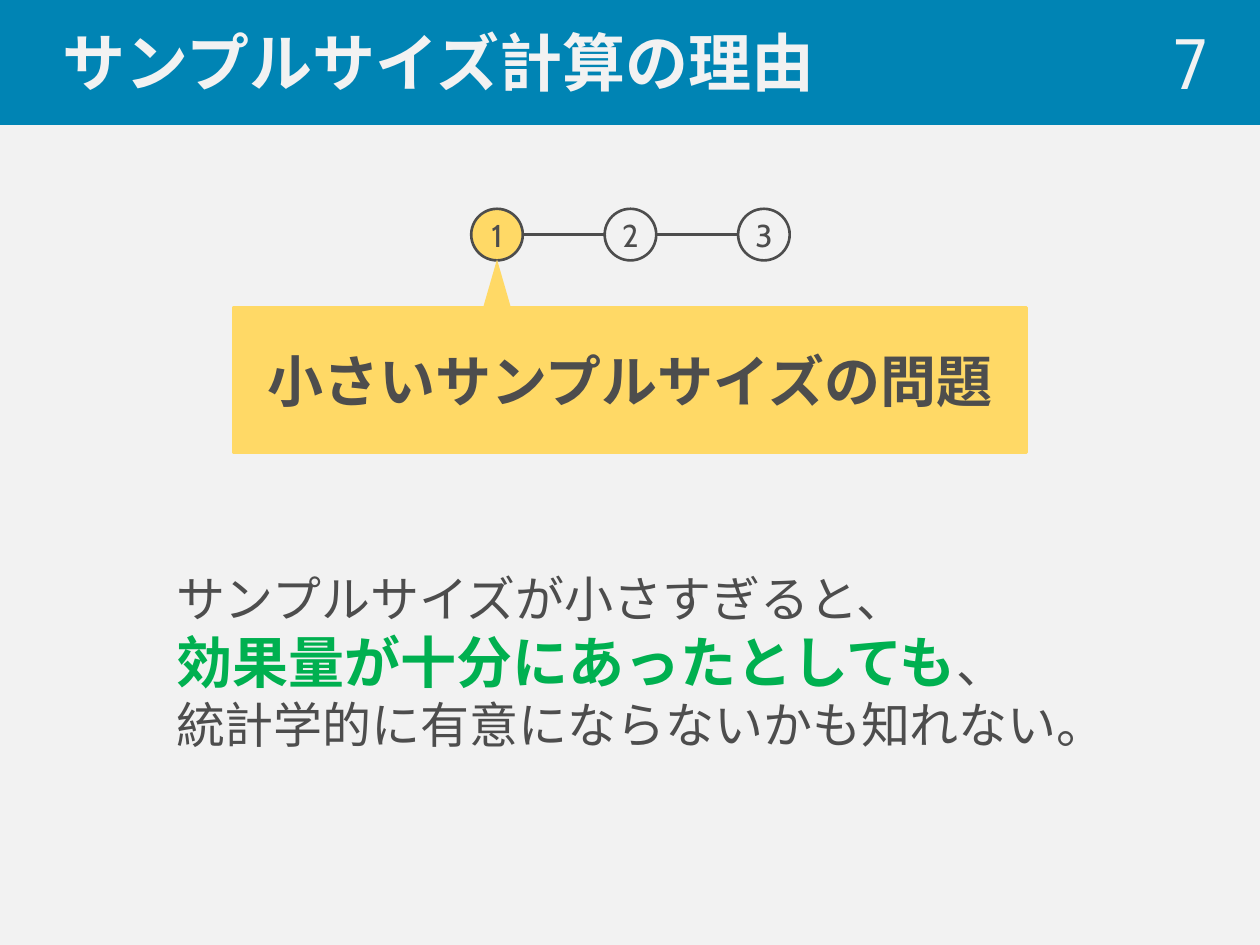
import pptx
import pptx.dml.color
import pptx.enum.shapes
import pptx.enum.text
import pptx.oxml
import pptx.util
from dataclasses import dataclass
from lxml import etree

Cm = pptx.util.Cm
Pt = pptx.util.Pt
Shape = pptx.enum.shapes.MSO_SHAPE
Align = pptx.enum.text.PP_ALIGN
Anchor = pptx.enum.text.MSO_ANCHOR
NS = "http://schemas.openxmlformats.org/drawingml/2006/main"


@dataclass(frozen=True)
class Theme:
    paper: str = "F2F2F2"
    blue: str = "0084B4"
    gold: str = "FFD966"
    ink: str = "4D4D4D"
    green: str = "00B050"
    sans: str = "Cabin"
    kanji: str = "Noto Sans CJK JP"
    thin: str = "Roboto Condensed"
    title: int = 36
    page: int = 40
    step: int = 18
    strong: int = 32
    body: int = 28
    line: float = 1.5


T = Theme()


def rgb(code):
    return pptx.dml.color.RGBColor.from_string(code)


def write(par, text, size=T.body, color=T.ink, font=T.sans, bold=False, align=None):
    run = par.add_run()
    run.text = text
    run.font.size = Pt(size)
    run.font.bold = bold
    run.font.name = font
    run.font.color.rgb = rgb(color)
    asian = etree.SubElement(run.font._element, f"{{{NS}}}ea")
    asian.set("typeface", T.kanji)
    par.alignment = align


def paint(shape, fill=None, line=None):
    shape.shadow.inherit = False
    if fill:
        shape.fill.solid()
        shape.fill.fore_color.rgb = rgb(fill)
    else:
        shape.fill.background()
    if line:
        shape.line.color.rgb = rgb(line)
        shape.line.width = Pt(T.line)
    else:
        shape.line.fill.background()


def draw(shapes, kind, box, fill=None, line=None):
    shape = shapes.add_shape(kind, *map(Cm, box))
    paint(shape, fill, line)
    return shape


def frame(shape, anchor=Anchor.MIDDLE):
    text = shape.text_frame
    text.word_wrap = True
    text.auto_size = pptx.enum.text.MSO_AUTO_SIZE.NONE
    text.vertical_anchor = anchor
    return text


def header(slide, box, text, page):
    left, top, width, height = box
    bar = slide.shapes.title
    bar.left, bar.top, bar.width, bar.height = map(Cm, box)
    paint(bar, T.blue, T.blue)
    par = frame(bar).paragraphs[0]
    par._p.get_or_add_pPr().set("marL", str(Cm(1)))
    write(par, text, T.title, T.paper, T.kanji, True, Align.LEFT)

    wide, high = 4.9, 1.55
    label = slide.shapes.add_textbox(
        Cm(left + width - wide - 0.8), Cm(top + (height - high) / 2), Cm(wide), Cm(high))
    write(frame(label).paragraphs[0], page, T.page, T.paper, T.thin, align=Align.RIGHT)


def steps(slide, box, count, now):
    """Numbered circles joined by lines, with the current one filled."""
    left, top, width, size = box
    pitch = (width - size) / (count - 1)
    mid = Cm(top + size / 2)
    for i in range(count):
        x = left + i * pitch
        dot = draw(slide.shapes, Shape.OVAL, (x, top, size, size),
                   T.gold if i + 1 == now else None, T.ink)
        text = frame(dot)
        text.margin_left = text.margin_right = 0
        text.margin_top = text.margin_bottom = 0
        write(text.paragraphs[0], str(i + 1), T.step, align=Align.CENTER)
        if i:
            link = slide.shapes.add_connector(
                pptx.enum.shapes.MSO_CONNECTOR.STRAIGHT,
                Cm(x - pitch + size), mid, Cm(x), mid)
            link.line.color.rgb = rgb(T.ink)
            link.line.width = Pt(T.line)
            etree.SubElement(link._element.spPr, f"{{{NS}}}effectLst")


def callout(slide, box, text, tip):
    """Box with a pointer whose top is at the point tip."""
    left, top, width, height = box
    x, y = tip
    wide = 0.56
    group = slide.shapes.add_group_shape()
    panel = draw(group.shapes, Shape.RECTANGLE, box, T.gold, T.gold)
    write(frame(panel).paragraphs[0], text, T.strong, bold=True, align=Align.CENTER)
    draw(group.shapes, Shape.ISOSCELES_TRIANGLE, (x - wide / 2, y, wide, top - y), T.gold)


def message(slide, box, lines):
    text = frame(slide.shapes.add_textbox(*map(Cm, box)), Anchor.TOP)
    for i, parts in enumerate(lines):
        par = text.add_paragraph() if i else text.paragraphs[0]
        for words, form in parts:
            write(par, words, **form)


def main():
    deck = pptx.Presentation()
    deck.slide_width, deck.slide_height = Cm(25.4), Cm(19.05)
    slide = deck.slides.add_slide(deck.slide_layouts[5])
    slide.background.fill.solid()
    slide.background.fill.fore_color.rgb = rgb(T.paper)

    header(slide, (0, 0, 25.4, 2.49), "サンプルサイズ計算の理由", "7")
    steps(slide, (9.5, 4.21, 6.42, 1.04), 3, 1)
    callout(slide, (4.7, 6.2, 16, 2.92), "小さいサンプルサイズの問題", (10.02, 5.23))
    key = dict(size=T.strong, color=T.green, bold=True)
    message(slide, (3.3, 11.33, 19.18, 4.01), [
        [("サンプルサイズが小さすぎると、", {})],
        [("効果量が十分にあったとしても", key), ("、", {})],
        [("統計学的に有意にならないかも知れない。", {})],
    ])
    deck.save("out.pptx")


if __name__ == "__main__":
    main()
